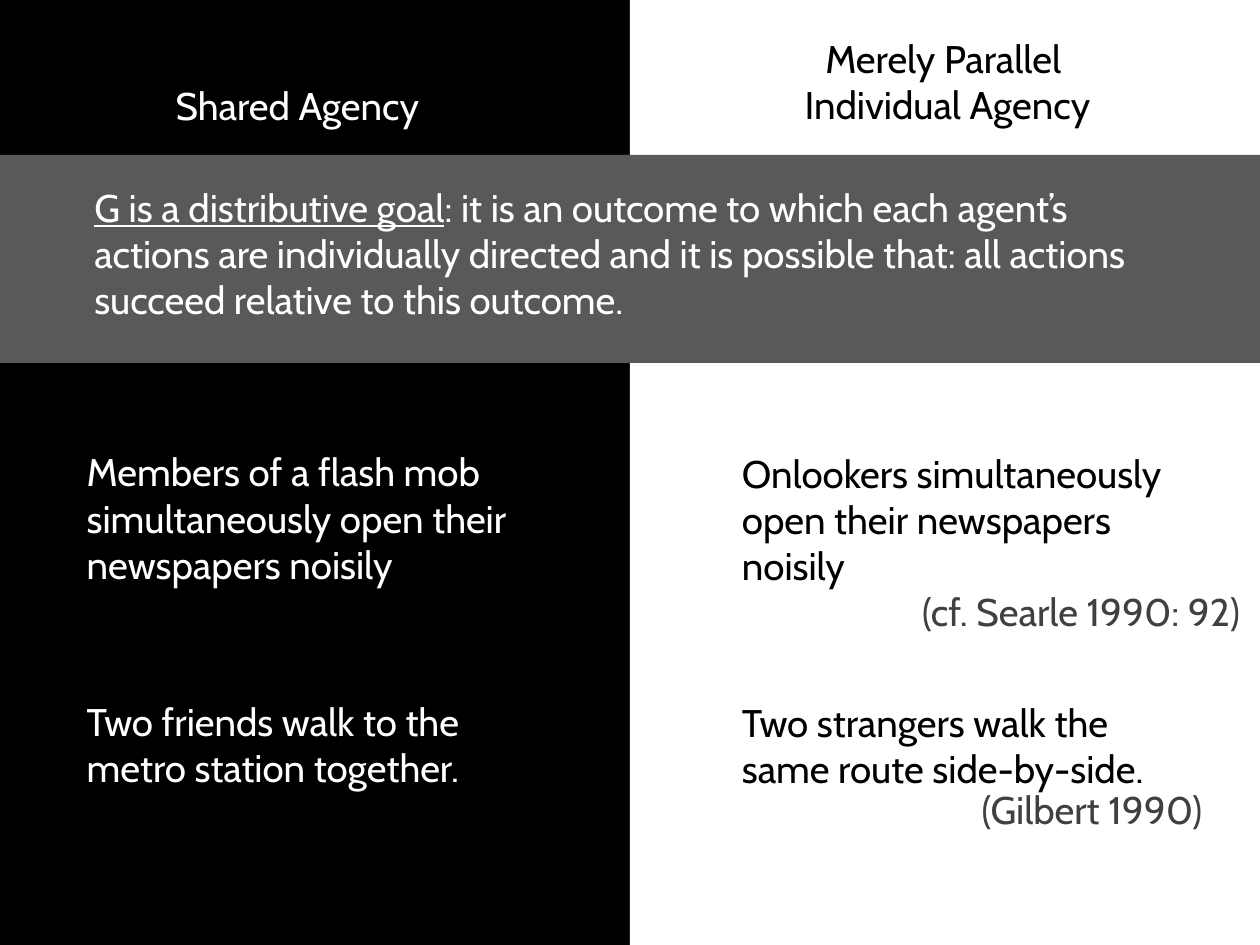
from dataclasses import dataclass

from pptx import Presentation
from pptx.dml.color import RGBColor
from pptx.enum.shapes import MSO_SHAPE as Shape
from pptx.enum.text import MSO_AUTO_SIZE as AutoSize, PP_ALIGN as Align
from pptx.util import Inches, Pt


@dataclass(frozen=True)
class Theme:
    font: str = "Cabin"
    size: int = 22
    black: str = "000000"
    white: str = "FFFFFF"
    band: str = "595959"
    citation: str = "404040"


THEME = Theme()
WIDTH, HEIGHT = 10, 7.5
BLANK_LAYOUT = 6

# Grid: text columns, example rows and the height of one to three lines
SHARED, PARALLEL = 0.59, 5.79
COLUMN_WIDTH = 3.54
FIRST_ROW, SECOND_ROW = 3.51, 5.49
LINE_HEIGHTS = {1: 0.47, 2: 0.84, 3: 1.21}
HEADING_BOTTOM = 1.07


def add_panel(page, left, top, width, height, color):
    """Add a plain filled rectangle."""
    panel = page.shapes.add_shape(
        Shape.RECTANGLE, Inches(left), Inches(top), Inches(width), Inches(height))
    panel.shadow.inherit = False
    panel.fill.solid()
    panel.fill.fore_color.rgb = RGBColor.from_string(color)
    panel.line.fill.background()


def add_text(page, text, left, top, width, lines, color, align=Align.LEFT):
    """Add a wrapping text box and return its paragraph."""
    box = page.shapes.add_textbox(
        Inches(left), Inches(top), Inches(width), Inches(LINE_HEIGHTS[lines]))
    frame = box.text_frame
    frame.word_wrap = True
    frame.auto_size = AutoSize.SHAPE_TO_FIT_TEXT
    para = frame.paragraphs[0]
    para.text = text
    para.alignment = align
    para.font.name = THEME.font
    para.font.size = Pt(THEME.size)
    para.font.color.rgb = RGBColor.from_string(color)
    return para


def add_heading(page, text, left, width, lines, color):
    """Add a centred column heading that rests on the common bottom line."""
    top = HEADING_BOTTOM - LINE_HEIGHTS[lines]
    add_text(page, text, left, top, width, lines, color, Align.CENTER)


def add_contrast(page, shared, parallel, top, lines):
    """Add one row with an example in each column."""
    add_text(page, shared, SHARED, top, COLUMN_WIDTH, lines, THEME.white)
    add_text(page, parallel, PARALLEL, top + 0.01, COLUMN_WIDTH, lines, THEME.black)


def add_definition(page, term, meaning):
    """Add the grey band with the underlined term and its meaning."""
    add_panel(page, 0, 1.23, WIDTH, 1.65, THEME.band)
    para = add_text(page, "", 0.65, 1.41, 8.68, 3, THEME.white)
    span = para.add_run()
    span.text = term
    span.font.underline = True
    para.add_run().text = meaning


def main():
    deck = Presentation()
    deck.slide_width, deck.slide_height = Inches(WIDTH), Inches(HEIGHT)
    page = deck.slides.add_slide(deck.slide_layouts[BLANK_LAYOUT])

    # Black page with a white right half
    page.background.fill.solid()
    page.background.fill.fore_color.rgb = RGBColor.from_string(THEME.black)
    add_panel(page, WIDTH / 2, 0, WIDTH / 2, HEIGHT, THEME.white)

    # Contrasting examples
    add_contrast(page,
                 "Members of a flash mob simultaneously open their newspapers noisily",
                 "Onlookers simultaneously open their newspapers noisily",
                 FIRST_ROW, 3)
    add_contrast(page,
                 "Two friends walk to the metro station together.",
                 "Two strangers walk the same route side-by-side.",
                 SECOND_ROW, 2)

    # Citations
    add_text(page, "(cf. Searle 1990: 92)", 6.81, 4.62, COLUMN_WIDTH, 1,
             THEME.citation, Align.CENTER)
    add_text(page, "(Gilbert 1990)", 6.73, 6.19, 2.91, 1,
             THEME.citation, Align.RIGHT)

    # Column headings
    add_heading(page, "Shared Agency", SHARED, COLUMN_WIDTH, 1, THEME.white)
    add_heading(page, "Merely Parallel \vIndividual Agency", 5.63, 3.78, 2, THEME.black)

    # Definition across both columns
    add_definition(page, "G is a distributive goal",
                   ": it is an outcome to which each agent’s actions are individually "
                   "directed and it is possible that: all actions succeed relative to "
                   "this outcome.")

    deck.save("out.pptx")


if __name__ == "__main__":
    main()
